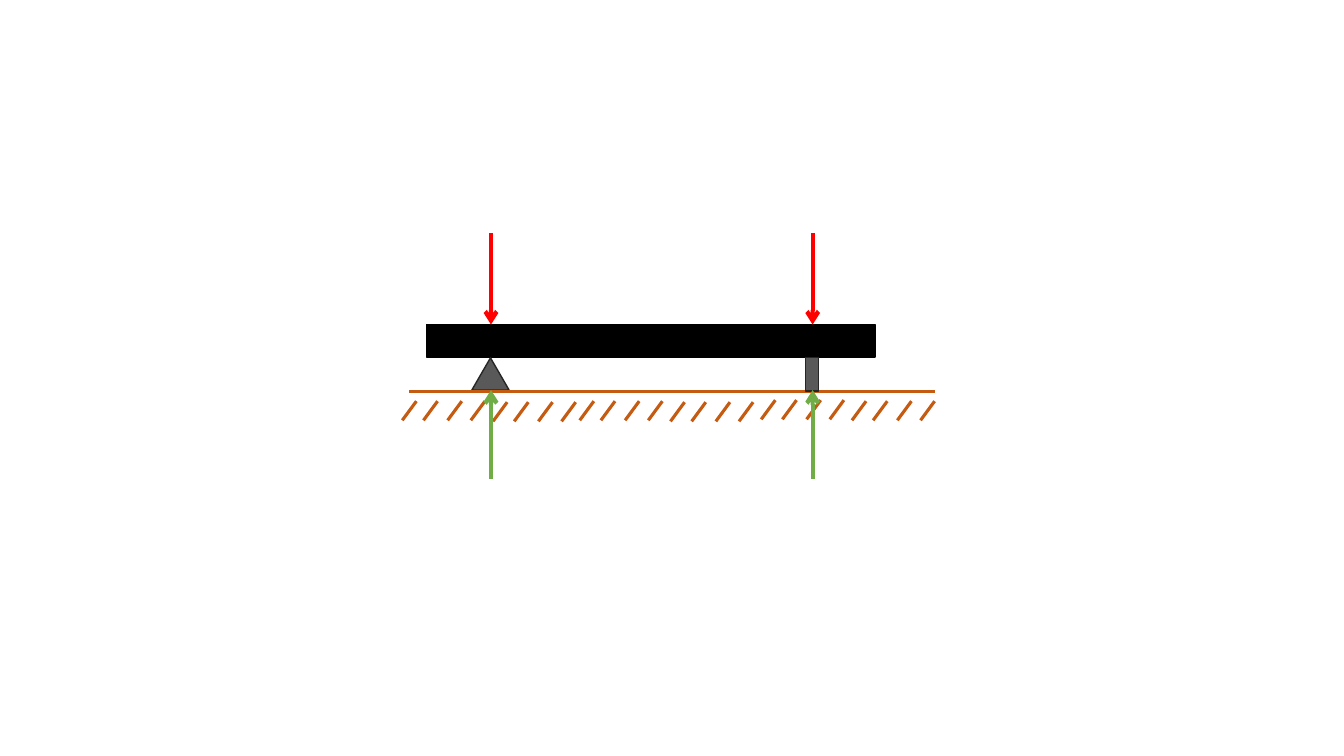
from typing import NamedTuple

from pptx import Presentation
from pptx.dml.color import RGBColor
from pptx.enum.shapes import MSO_CONNECTOR as Conn, MSO_SHAPE as Kind
from pptx.oxml.ns import qn
from pptx.util import Emu, Pt

SCALE = 9144  # EMU per px, 100 px to the inch

BLACK, RED, GREEN = "000000", "FF0000", "70AD47"
GREY, EDGE, EARTH = "595959", "262626", "C55A11"


class Block(NamedTuple):
    kind: Kind
    left: int
    top: int
    width: int
    height: int
    fill: str
    edge: str


class Line(NamedTuple):
    x1: int
    y1: int
    x2: int
    y2: int
    hue: str
    weight: float
    arrow: bool = False


def px(n: int) -> Emu:
    return Emu(n * SCALE)


def paint(fmt, hue: str) -> None:
    fmt.solid()
    fmt.fore_color.rgb = RGBColor.from_string(hue)


def draw_block(slide, b: Block) -> None:
    shape = slide.shapes.add_shape(
        b.kind, px(b.left), px(b.top), px(b.width), px(b.height))
    shape.shadow.inherit = False
    paint(shape.fill, b.fill)
    paint(shape.line.fill, b.edge)
    shape.line.width = Pt(1)


def draw_line(slide, s: Line) -> None:
    link = slide.shapes.add_connector(
        Conn.STRAIGHT, px(s.x1), px(s.y1), px(s.x2), px(s.y2))
    paint(link.line.fill, s.hue)
    link.line.width = Pt(s.weight)
    props = link._element.spPr
    if s.arrow:
        ln = props.find(qn("a:ln"))
        ln.append(ln.makeelement(qn("a:tailEnd"), {"type": "arrow"}))
    props.append(props.makeelement(qn("a:effectLst"), {}))


# Beam and supports
PIN, POST = 487, 806
BEAM = Block(Kind.RECTANGLE, 423, 322, 445, 32, BLACK, BLACK)
WEDGE = Block(Kind.ISOSCELES_TRIANGLE, 468, 355, 37, 32, GREY, EDGE)
STUB = Block(Kind.RECTANGLE, 799, 355, 13, 33, GREY, EDGE)

# Forces
LOADS = [Line(x, 231, x, 322, RED, 3, True) for x in (PIN, POST)]
LIFTS = [Line(x, 475, x, 387, GREEN, 3, True) for x in (POST, PIN)]

# Ground: a line above six groups of four slanted strokes
GROUND = Line(406, 388, 927, 388, EARTH, 2.25)
GROUPS = [(399, 398), (489, 399), (575, 398),
          (665, 399), (755, 397), (845, 398)]
STEPS = (0, 21, 45, 68)
HATCH = [Line(x + dx, y + 19, x + dx + 14, y, EARTH, 2.25)
         for x, y in GROUPS for dx in STEPS]


def main() -> None:
    deck = Presentation()
    deck.slide_width, deck.slide_height = px(1333), px(750)
    slide = deck.slides.add_slide(deck.slide_layouts[6])
    for block in (BEAM, WEDGE):
        draw_block(slide, block)
    for line in (*LOADS, GROUND, *HATCH):
        draw_line(slide, line)
    draw_block(slide, STUB)
    for line in LIFTS:
        draw_line(slide, line)
    deck.save("out.pptx")


if __name__ == "__main__":
    main()
